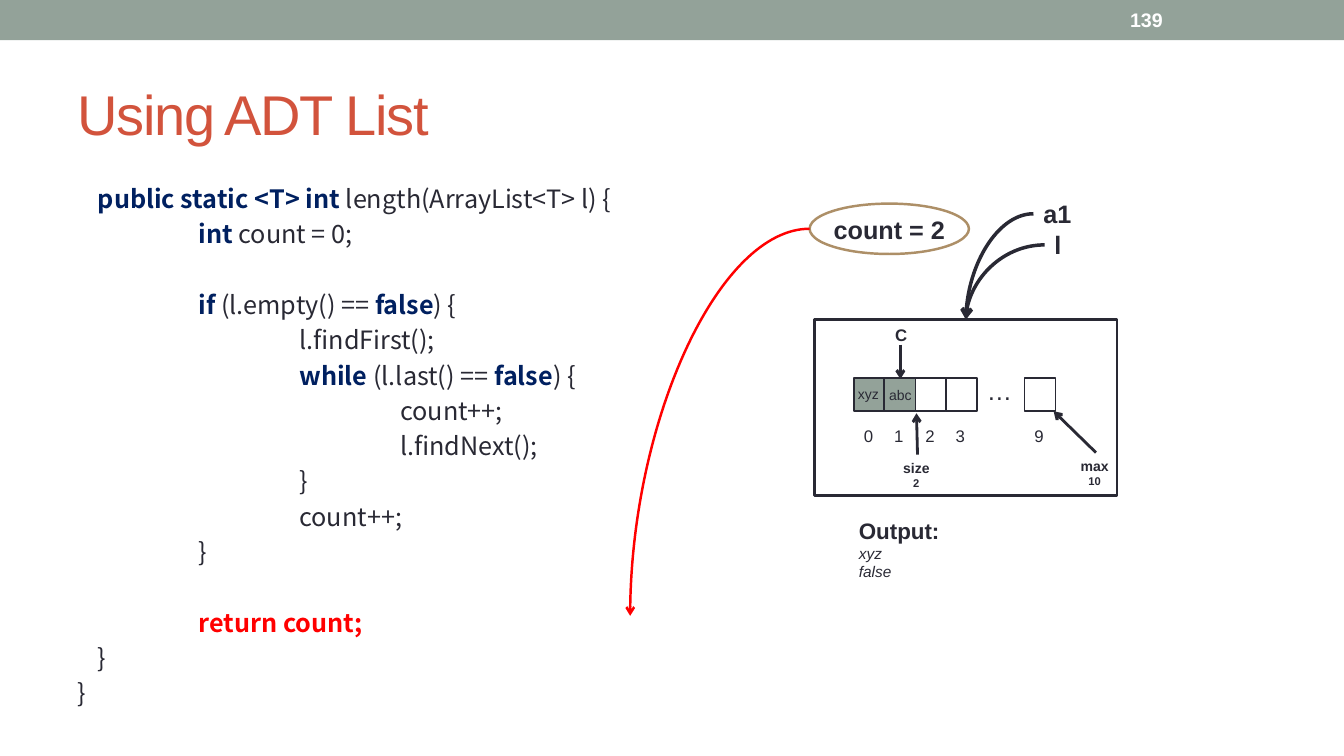
"""Build the slide on using the list type, with its code and array diagram."""
from lxml import etree
from pptx import Presentation
from pptx.dml.color import RGBColor
from pptx.enum.shapes import MSO_CONNECTOR, MSO_SHAPE
from pptx.enum.text import MSO_ANCHOR, MSO_AUTO_SIZE, PP_ALIGN
from pptx.oxml.ns import qn
from pptx.util import Pt

PX = 9144
INK = RGBColor(0x29, 0x29, 0x34)
SAGE = RGBColor(0x93, 0xA2, 0x99)
RUST = RGBColor(0xD2, 0x53, 0x3C)
NAVY = RGBColor(0x00, 0x20, 0x60)
RED = RGBColor(0xFF, 0x00, 0x00)
TAN = RGBColor(0xAD, 0x8F, 0x67)
WHITE = RGBColor(0xFF, 0xFF, 0xFF)
RECT, OVAL = MSO_SHAPE.RECTANGLE, MSO_SHAPE.OVAL
STRAIGHT, CURVE = MSO_CONNECTOR.STRAIGHT, MSO_CONNECTOR.CURVE
MIDDLE, TOP = MSO_ANCHOR.MIDDLE, MSO_ANCHOR.TOP
LEFT, CENTER = PP_ALIGN.LEFT, PP_ALIGN.CENTER
GROW, FIXED = MSO_AUTO_SIZE.SHAPE_TO_FIT_TEXT, MSO_AUTO_SIZE.NONE
SANS, CODE_FONT = "Arial", "Noto Sans CJK SC"
PITCH = 25.2
CODE = """\t*public static <T> int* length(ArrayList<T> l) {
\t\t*int* count = 0;

\t\t*if* (l.empty() == *false*) {
\t\t\tl.findFirst();
\t\t\t*while* (l.last() == *false*) {
\t\t\t\tcount++;
\t\t\t\tl.findNext();
\t\t\t}
\t\t\tcount++;
\t\t}

\t\t*return count;*
\t}
}"""


def emu(*sizes):
    """Turn px into EMU."""
    return [size * PX for size in sizes]


def style(font, size, color=INK, bold=False, italic=False, name=SANS):
    """Set the look of a font."""
    font.name, font.size = name, Pt(size)
    font.bold, font.italic = bold, italic
    font.color.rgb = color


def place(shape, x, y, w, h):
    """Move and size a placeholder."""
    shape.left, shape.top, shape.width, shape.height = emu(x, y, w, h)


def add_title(slide, text):
    """Fill the title placeholder."""
    title = slide.shapes.title
    place(title, 67, 58, 1200, 108)
    frame = title.text_frame
    frame.text = text
    frame.vertical_anchor, frame.auto_size = MIDDLE, FIXED
    para = frame.paragraphs[0]
    para.alignment = LEFT
    style(para.font, 40, RUST)
    para.runs[0]._r.get_or_add_rPr().set("spc", "-100")


def add_code(slide, code):
    """Fill the body placeholder with code, starred words in bold."""
    body = slide.placeholders[1]
    place(body, 67, 172, 1200, 536)
    frame = body.text_frame
    frame.auto_size, frame.vertical_anchor = FIXED, TOP
    para, gap = frame.paragraphs[0], 0
    for num, line in enumerate(code.split("\n")):
        if not line:
            gap = PITCH
            continue
        if num:
            para = frame.add_paragraph()
        para.line_spacing, para.space_before = Pt(PITCH), Pt(gap)
        gap = 0
        props = para._p.get_or_add_pPr()
        props.set("marL", str(20 * PX))
        props.set("indent", str(-20 * PX))
        props.set("defTabSz", str(100 * PX))
        etree.SubElement(props, qn("a:buNone"))
        style(para.font, 18, name=CODE_FONT)
        for part, text in enumerate(line.split("*")):
            if text:
                run = para.add_run()
                run.text = text
                if part % 2:
                    run.font.bold = True
                    run.font.color.rgb = RED if "return" in text else NAVY


def add_text(slide, box, *lines, wrap=False, anchor=TOP):
    """Add a text box; each line is text, size and further style."""
    shape = slide.shapes.add_textbox(*emu(*box))
    frame = shape.text_frame
    frame.word_wrap, frame.vertical_anchor = wrap, anchor
    frame.auto_size = GROW if anchor == TOP else FIXED
    for num, (text, size, look) in enumerate(lines):
        para = frame.add_paragraph() if num else frame.paragraphs[0]
        para.text = text
        look = dict(look)
        para.alignment = look.pop("align", LEFT)
        style(para.font, size, **look)
    return shape


def add_box(slide, kind, box, fill=None, line=None, width=1.25):
    """Add a preset shape."""
    shape = slide.shapes.add_shape(kind, *emu(*box))
    shape.shadow.inherit = False
    if fill is None:
        shape.fill.background()
    else:
        shape.fill.solid()
        shape.fill.fore_color.rgb = fill
    if line is None:
        shape.line.fill.background()
    else:
        shape.line.color.rgb, shape.line.width = line, Pt(width)
    return shape


def add_arrow(slide, ends, color=INK, width=2, kind=STRAIGHT):
    """Add a line with an arrowhead at its end."""
    arrow = slide.shapes.add_connector(kind, *emu(*ends))
    arrow.line.color.rgb, arrow.line.width = color, Pt(width)
    props = arrow._element.spPr
    etree.SubElement(arrow.line._get_or_add_ln(), qn("a:tailEnd"), type="arrow")
    etree.SubElement(props, qn("a:effectLst"))
    return arrow


def add_curve(slide, ends, start, site, goal=None, color=INK, width=2.5):
    """Add a curved arrow that leaves sideways and arrives from above."""
    curve = add_arrow(slide, ends, color, width, CURVE)
    curve.begin_connect(start, site)
    if goal is not None:
        curve.end_connect(goal, 0)
    curve.begin_x, curve.begin_y, curve.end_x, curve.end_y = emu(*ends)
    props = curve._element.spPr
    props.find(qn("a:prstGeom")).set("prst", "curvedConnector2")
    frame = props.find(qn("a:xfrm"))
    frame.attrib.pop("flipH", None)
    frame.set("rot", "10800000")
    frame.set("flipV", "1")


def add_cells(slide):
    """Add the array cells with their indices and values."""
    for index in (0, 1, 2, 3, 9):
        x = 1016 if index == 9 else 847 + 61 * index // 2
        fill = SAGE if index < 2 else WHITE
        add_box(slide, RECT, (x, 375, 31, 33), fill, INK)
        add_text(slide, (x, 417, 29, 30), (str(index), 12, {}))
    add_text(slide, (969, 367, 45, 40), ("…", 18, {}))
    add_text(slide, (841, 378, 41, 27), ("xyz", 10, {}))
    add_text(slide, (872, 379, 44, 27), ("abc", 10, {}))


def add_marks(slide):
    """Add the pointers to the current cell, size and limit."""
    bold = {"bold": True}
    mid = {"bold": True, "align": CENTER}
    add_arrow(slide, (893, 342, 893, 376))
    add_text(slide, (878, 317, 32, 30), ("C", 12, bold))
    add_arrow(slide, (910, 451, 909, 410))
    add_text(slide, (886, 451, 47, 40), ("size", 10, bold), ("2", 8, mid))
    add_arrow(slide, (1087, 449, 1045, 408))
    add_text(slide, (1062, 449, 50, 40), ("max", 10, bold), ("10", 8, mid))


def main():
    """Build and save the slide."""
    deck = Presentation()
    deck.slide_width, deck.slide_height = emu(1333, 750)
    slide = deck.slides.add_slide(deck.slide_layouts[1])
    bold, slant = {"bold": True}, {"italic": True}
    add_box(slide, RECT, (0, 0, 1333, 40), SAGE)
    add_title(slide, "Using ADT List")
    add_code(slide, CODE)
    add_text(slide, (1111, 2, 156, 36),
             ("139", 14, {"bold": True, "color": WHITE}), wrap=True, anchor=MIDDLE)
    add_cells(slide)
    add_marks(slide)
    add_text(slide, (842, 508, 208, 74), ("Output:", 16, bold),
             ("xyz", 11, slant), ("false", 11, slant), wrap=True)
    oval = add_box(slide, OVAL, (803, 202, 158, 50), None, TAN, 1.75)
    add_curve(slide, (803, 227, 625, 611), oval, 2, color=RED, width=1.75)
    add_text(slide, (817, 208, 132, 40), ("count = 2", 18, bold))
    array = add_box(slide, RECT, (808, 317, 300, 175), None, INK, 2)
    for name, x, y, w in (("a1", 1025, 192, 48), ("l", 1036, 223, 28)):
        label = add_text(slide, (x, y, w, 40), (name, 18, bold))
        add_curve(slide, (x, y + 20, 958, 317), label, 1, array)
    deck.save("out.pptx")


if __name__ == "__main__":
    main()
